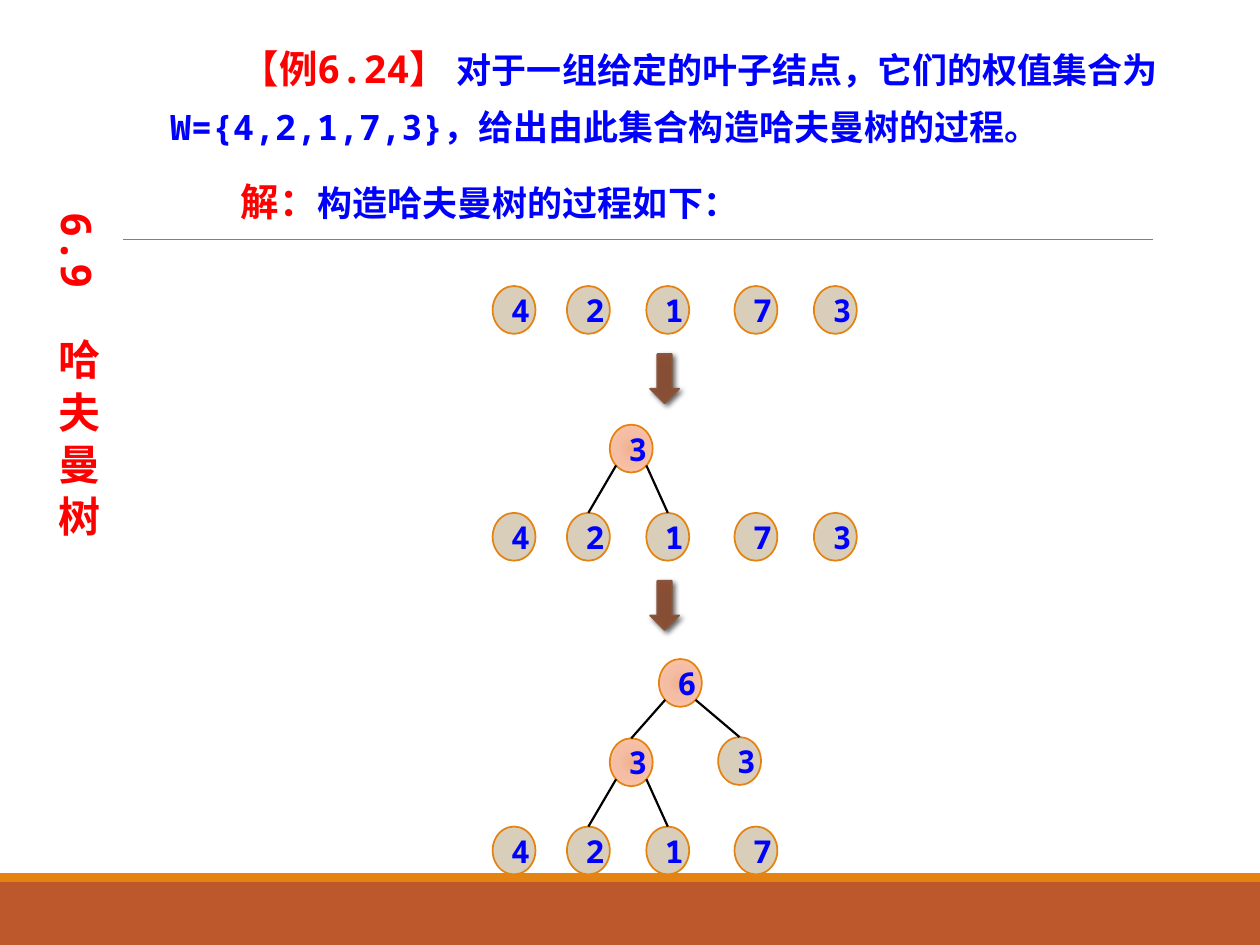
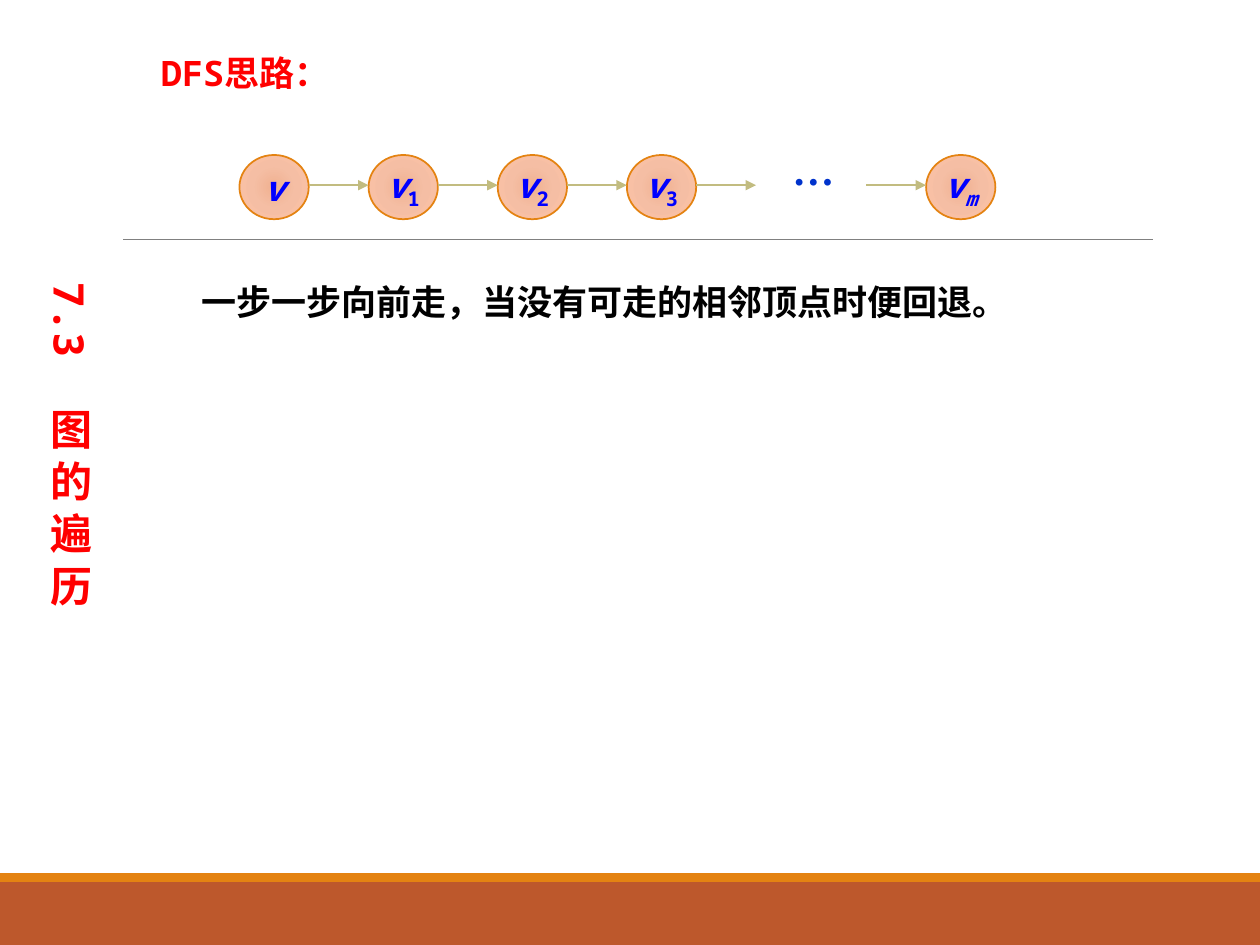
from math import cos, pi

from lxml.etree import SubElement
from pptx import Presentation
from pptx.dml.color import RGBColor
from pptx.enum.lang import MSO_LANGUAGE_ID as Language
from pptx.enum.shapes import MSO_CONNECTOR as Connector, MSO_SHAPE as Preset
from pptx.enum.text import MSO_ANCHOR as Anchor, MSO_AUTO_SIZE as AutoSize, PP_ALIGN as Align
from pptx.oxml import parse_xml
from pptx.oxml.ns import nsdecls, qn
from pptx.util import Inches, Pt

COLOURS = {
    "band": "BD582C", "orange": "E48312", "rule": "808080", "red": "FF0000",
    "blue": "0000FF", "black": "000000", "dots": "0033CC", "leaf": "D8CEBA",
    "arrow edge": "865640", "link": "C2BC80",
}
GRADIENTS = {
    "merged": [(0, "F0B191"), (45, "F5BEA4"), (100, "FDC3A8")],
    "arrow": [(0, "874C32"), (34, "864E34"), (70, "8A4E33"), (100, "8A553D")],
}
MONO = "Noto Sans Mono"
CHINESE = "Noto Sans CJK SC"
NODE_WIDTH, NODE_HEIGHT = 0.34, 0.38
LEAF_COLUMNS = [0, 0.59, 1.22, 1.92, 2.55]
WEIGHTS = "42173"


def colour(name):
    """Return the named colour."""
    return RGBColor.from_string(COLOURS[name])


def write(para, text, ink, size=20, baseline=None, **formats):
    """Add one formatted span to a paragraph."""
    span = para.add_run()
    span.text = text
    values = {"name": MONO, "size": Pt(size), "bold": True,
              "language_id": Language.SIMPLIFIED_CHINESE, **formats}
    for key, value in values.items():
        setattr(span.font, key, value)
    span.font.color.rgb = colour(ink)
    properties = span.font._element
    SubElement(properties, qn("a:ea"), typeface=CHINESE)
    if baseline:
        properties.set("baseline", str(baseline * 1000))


def prepare(box, at, **formats):
    """Place a text holder and set its frame."""
    for key, value in zip(("left", "top", "width", "height"), at):
        setattr(box, key, Inches(value))
    values = {"word_wrap": True, "auto_size": AutoSize.NONE,
              "vertical_anchor": Anchor.TOP, **formats}
    for key, value in values.items():
        setattr(box.text_frame, key, value)
    return box.text_frame


def plain(para, indent=0):
    """Give a body paragraph a first-line indent and no bullet."""
    properties = para._p.get_or_add_pPr()
    properties.set("marL", "0")
    properties.set("indent", str(Inches(indent)))
    SubElement(properties, qn("a:buNone"))
    para.space_before = Pt(0)


def add_text(page, at, text, ink, **formats):
    """Add a text box of one line."""
    box = page.shapes.add_textbox(*map(Inches, at))
    write(prepare(box, at).paragraphs[0], text, ink, **formats)


def add_line(page, start, end, ink, weight):
    """Add a straight line without a shadow."""
    line = page.shapes.add_connector(Connector.STRAIGHT, *map(Inches, (*start, *end)))
    line.line.color.rgb = colour(ink)
    line.line.width = Pt(weight)
    SubElement(line._element.spPr, qn("a:effectLst"))
    return line


def add_figure(page, preset, at, fill, edge=None):
    """Add a preset shape with a plain or radial fill."""
    shape = page.shapes.add_shape(preset, *map(Inches, at))
    shape.shadow.inherit = False
    if fill in GRADIENTS:
        stops = "".join(f'<a:gs pos="{stop * 1000}"><a:srgbClr val="{tint}"/></a:gs>'
                        for stop, tint in GRADIENTS[fill])
        shape._element.spPr.find(qn("a:prstGeom")).addnext(parse_xml(
            f'<a:gradFill {nsdecls("a")} rotWithShape="1"><a:gsLst>{stops}</a:gsLst>'
            '<a:path path="circle"><a:fillToRect l="100000" t="100000" r="100000" b="100000"/>'
            '</a:path></a:gradFill>'))
    else:
        shape.fill.solid()
        shape.fill.fore_color.rgb = colour(fill)
    if edge:
        shape.line.color.rgb = colour(edge)
        shape.line.width = Pt(1)
    else:
        shape.line.fill.background()
    return shape


def add_node(page, at, fill, spans, wrap=True):
    """Add a circled label made of spans."""
    node = add_figure(page, Preset.OVAL, at, fill, "orange")
    frame = prepare(node, at, word_wrap=wrap, vertical_anchor=Anchor.MIDDLE)
    frame.paragraphs[0].alignment = Align.CENTER
    for text, formats in spans:
        write(frame.paragraphs[0], text, "blue", **formats)
    return node


def decorate_master(deck, page):
    """Move the shared bands and rule to the master."""
    parts = [
        add_figure(page, Preset.RECTANGLE, (0, 7, 10, 0.5), "band"),
        add_figure(page, Preset.RECTANGLE, (0, 6.93, 10, 0.07), "orange"),
        add_line(page, (0.98, 1.9), (9.15, 1.9), "rule", 0.5),
    ]
    for part in parts:
        deck.slide_master.shapes._spTree.append(part._element)


def add_section_title(page, left, top, text):
    """Set the vertical section title."""
    frame = prepare(page.shapes.title, (left, top, 0.61, 2.97))
    frame._txBody.bodyPr.set("vert", "eaVert")
    frame.paragraphs[0].alignment = Align.CENTER
    write(frame.paragraphs[0], text, "red", size=24)


def add_forest(page, left, top, leaves, leaf_top=0, others=(), links=()):
    """Draw one stage: leaves, other nodes and the links between them."""
    nodes = [(weight, column, leaf_top, "leaf")
             for weight, column in zip(leaves, LEAF_COLUMNS)] + list(others)
    circles = [add_node(page, (left + x, top + y, NODE_WIDTH, NODE_HEIGHT), fill,
                        [(weight, {"size": 18})]) for weight, x, y, fill in nodes]
    reach = cos(pi / 4) / 2
    for parent, *children in links:
        x = left + nodes[parent][1] + NODE_WIDTH / 2
        y = top + nodes[parent][2] + NODE_HEIGHT * (0.5 + reach)
        for child, side in zip(children, (-1, 1)):
            start = (x + side * reach * NODE_WIDTH, y)
            line = add_line(page, start, start, "black", 1.25)
            line.end_connect(circles[child], 0)


def add_step_arrow(page, left, top):
    """Add a shaded down arrow between two stages."""
    arrow = add_figure(page, Preset.DOWN_ARROW, (left, top, 0.23, 0.39), "arrow", "arrow edge")
    effects = arrow._element.spPr.find(qn("a:effectLst"))
    shadow = SubElement(effects, qn("a:outerShdw"), blurRad=str(Pt(3)), dist=str(Pt(2)),
                        dir="2700000", algn="tl", rotWithShape="0")
    tint = SubElement(shadow, qn("a:srgbClr"), val=COLOURS["black"])
    SubElement(tint, qn("a:alpha"), val="60000")


def add_chain(page, left, top):
    """Draw the path of visited vertices."""
    width, height, pitch, last = 0.55, 0.51, 1.025, 5.45
    offsets = [index * pitch for index in range(4)] + [last]
    for mark, offset in zip(["", "1", "2", "3", "m"], offsets):
        spans = [("v", {"italic": True})]
        if mark:
            spans.append((mark, {"italic": mark == "m", "baseline": -25}))
        add_node(page, (left + offset, top, width, height), "merged", spans, wrap=False)
    gap = pitch - width
    for offset in [start + width for start in offsets[:-1]] + [last - gap]:
        x, y = left + offset, top + 0.24
        arrow = add_line(page, (x, y), (x + gap, y), "link", 1.25)
        SubElement(arrow.line._get_or_add_ln(), qn("a:tailEnd"), type="triangle")
    add_text(page, (left + 4.29, top - 0.14, 0.61, 0.5), "…", "dots",
             size=24, name="Times New Roman")


def build_huffman(page):
    """Build the worked example of the Huffman tree."""
    add_section_title(page, 0.31, 1.64, "6.9  哈 夫 曼 树")
    frame = prepare(page.placeholders[1], (1.25, 0.23, 8.28, 1.62))
    lines = [
        ("【例6.24】 ", "对于一组给定的叶子结点，它们的权值集合为W={4,2,1,7,3}，给出由此集合构造哈夫曼树的过程。"),
        ("解：", "构造哈夫曼树的过程如下："),
    ]
    for index, (lead, text) in enumerate(lines):
        para = frame.add_paragraph() if index else frame.paragraphs[0]
        plain(para, indent=0.56)
        para.line_spacing = Pt(32)
        para.space_before = Pt(12 if index else 0)
        write(para, lead, "red", size=22)
        write(para, text, "blue")
    left = 3.91
    add_forest(page, left, 2.27, WEIGHTS)
    add_forest(page, left, 3.37, WEIGHTS, 0.7, [("3", 0.93, 0, "merged")], [(5, 1, 2)])
    add_forest(page, left, 5.23, WEIGHTS[:4], 1.33,
               [("3", 0.93, 0.63, "merged"), ("3", 1.79, 0.62, "leaf"), ("6", 1.32, 0, "merged")],
               [(4, 1, 2), (6, 4, 5)])
    for top in (2.81, 4.61):
        add_step_arrow(page, 5.16, top)


def build_traversal(page):
    """Build the idea of depth-first search."""
    add_section_title(page, 0.25, 2.19, "7.3  图 的 遍 历")
    add_text(page, (1.18, 0.36, 5.28, 0.44), "DFS思路：", "red")
    add_chain(page, 1.9, 1.23)
    para = prepare(page.placeholders[1], (1.5, 2.18, 8.19, 0.44)).paragraphs[0]
    plain(para)
    write(para, "一步一步向前走，当没有可走的相邻顶点时便回退。", "black")


def main():
    """Build and save the deck."""
    deck = Presentation()
    deck.slide_width, deck.slide_height = Inches(10), Inches(7.5)
    pages = [deck.slides.add_slide(deck.slide_layouts[1]) for _ in range(2)]
    decorate_master(deck, pages[0])
    for build, page in zip((build_huffman, build_traversal), pages):
        build(page)
    deck.save("out.pptx")


if __name__ == "__main__":
    main()
